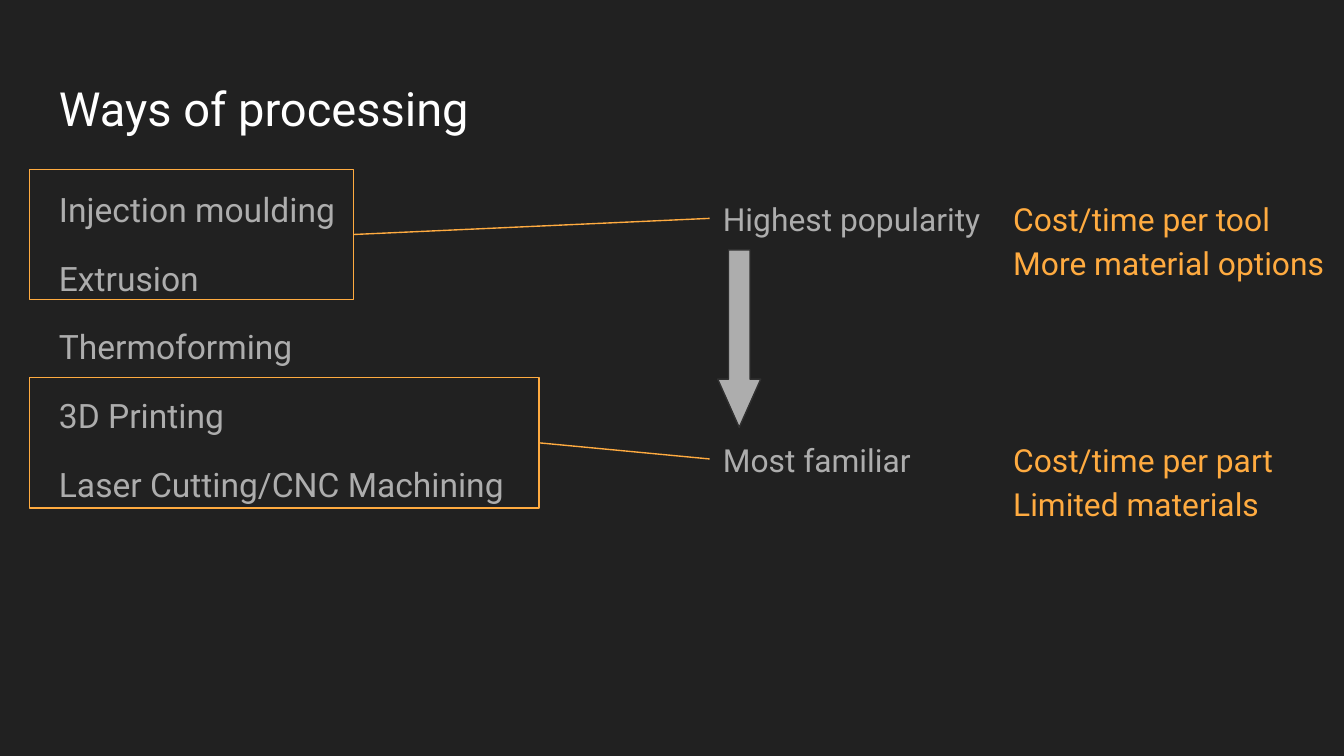
from dataclasses import dataclass

from lxml.etree import SubElement
from pptx import Presentation
from pptx.dml.color import RGBColor
from pptx.enum.shapes import MSO_CONNECTOR as Connector, MSO_SHAPE as Shape
from pptx.enum.text import MSO_ANCHOR as Anchor
from pptx.oxml.ns import qn
from pptx.util import Inches, Pt


@dataclass(frozen=True)
class Theme:
    background: RGBColor = RGBColor.from_string("212121")
    title: RGBColor = RGBColor.from_string("FFFFFF")
    body: RGBColor = RGBColor.from_string("ADADAD")
    accent: RGBColor = RGBColor.from_string("FFAB40")
    arrow_outline: RGBColor = RGBColor.from_string("303030")
    font: str = "Roboto"
    title_size: float = 25.2
    list_size: float = 18
    note_size: float = 17
    line_width: float = 0.75


THEME = Theme()
SLIDE_WIDTH = Inches(10)
SLIDE_HEIGHT = SLIDE_WIDTH * 9 // 16
LEFT, CONTENT_WIDTH = 0.34, 9.32
FRAME_LEFT, FRAME_HEIGHT = 0.22, 0.97
LABEL_LEFT, REMARK_LEFT = 5.28, 7.44
NOTE_WIDTH, NOTE_HEIGHT, NOTE_STEP = 2.21, 0.39, 0.33

PROCESSES = [
    "Injection moulding",
    "Extrusion",
    "Thermoforming",
    "3D Printing",
    "Laser Cutting/CNC Machining",
]
GROUPS = [
    (1.26, 2.41, 1.43, "Highest popularity",
     [("Cost/time per tool", NOTE_WIDTH), ("More material options", 2.65)]),
    (2.81, 3.79, 3.22, "Most familiar",
     [("Cost/time per part", NOTE_WIDTH), ("Limited materials", NOTE_WIDTH)]),
]


def apply_format(target, values):
    for name, value in values.items():
        setattr(target, name, value)


def add_text(slide, box, lines, size, color, spacing=1.0, gap=0):
    shape = slide.shapes.add_textbox(*map(Inches, box))
    frame = shape.text_frame
    margins = ("margin_left", "margin_top", "margin_right", "margin_bottom")
    apply_format(frame, dict.fromkeys(margins, Inches(0.1)))
    apply_format(frame, {"word_wrap": True, "vertical_anchor": Anchor.TOP})
    for index, line in enumerate(lines):
        paragraph = frame.paragraphs[0] if index == 0 else frame.add_paragraph()
        paragraph.text = line
        paragraph.line_spacing = spacing
        paragraph.space_before = Pt(gap if index else 0)
        apply_format(paragraph.font, {"name": THEME.font, "size": Pt(size)})
        paragraph.font.color.rgb = color
    return shape


def add_note(slide, left, top, width, text, color):
    box = (left, top, width, NOTE_HEIGHT)
    return add_text(slide, box, [text], THEME.note_size, color, spacing=0.85)


def set_line(shape, color):
    shape.line.color.rgb = color
    shape.line.width = Pt(THEME.line_width)


def add_frame(slide, top, width):
    box = (FRAME_LEFT, top, width, FRAME_HEIGHT)
    shape = slide.shapes.add_shape(Shape.RECTANGLE, *map(Inches, box))
    shape.shadow.inherit = False
    shape.fill.background()
    set_line(shape, THEME.accent)
    return shape


def add_arrow(slide, box):
    shape = slide.shapes.add_shape(Shape.DOWN_ARROW, *map(Inches, box))
    shape.shadow.inherit = False
    shape.adjustments[0] = 0.5
    shape.adjustments[1] = 1.12
    shape.fill.solid()
    shape.fill.fore_color.rgb = THEME.body
    set_line(shape, THEME.arrow_outline)


def join(slide, frame, label):
    connector = slide.shapes.add_connector(Connector.STRAIGHT, 0, 0, 0, 0)
    connector.begin_connect(frame, 3)
    connector.end_connect(label, 1)
    set_line(connector, THEME.accent)
    SubElement(connector._element.spPr, qn("a:effectLst"))


def add_group(slide, frame_top, frame_width, note_top, label_text, remarks):
    frame = add_frame(slide, frame_top, frame_width)
    label = add_note(slide, LABEL_LEFT, note_top, NOTE_WIDTH, label_text, THEME.body)
    join(slide, frame, label)
    for index, (remark, width) in enumerate(remarks):
        top = note_top + index * NOTE_STEP
        add_note(slide, REMARK_LEFT, top, width, remark, THEME.accent)


def main():
    presentation = Presentation()
    apply_format(presentation, {"slide_width": SLIDE_WIDTH, "slide_height": SLIDE_HEIGHT})
    slide = presentation.slides.add_slide(presentation.slide_layouts[6])
    slide.background.fill.solid()
    slide.background.fill.fore_color.rgb = THEME.background

    add_text(slide, (LEFT, 0.49, CONTENT_WIDTH, 0.63), ["Ways of processing"],
             THEME.title_size, THEME.title)
    add_text(slide, (LEFT, 1.26, CONTENT_WIDTH, 3.74), PROCESSES,
             THEME.list_size, THEME.body, spacing=1.15, gap=12)
    add_arrow(slide, (5.34, 1.86, 0.32, 1.32))
    for group in GROUPS:
        add_group(slide, *group)
    presentation.save("out.pptx")


if __name__ == "__main__":
    main()
